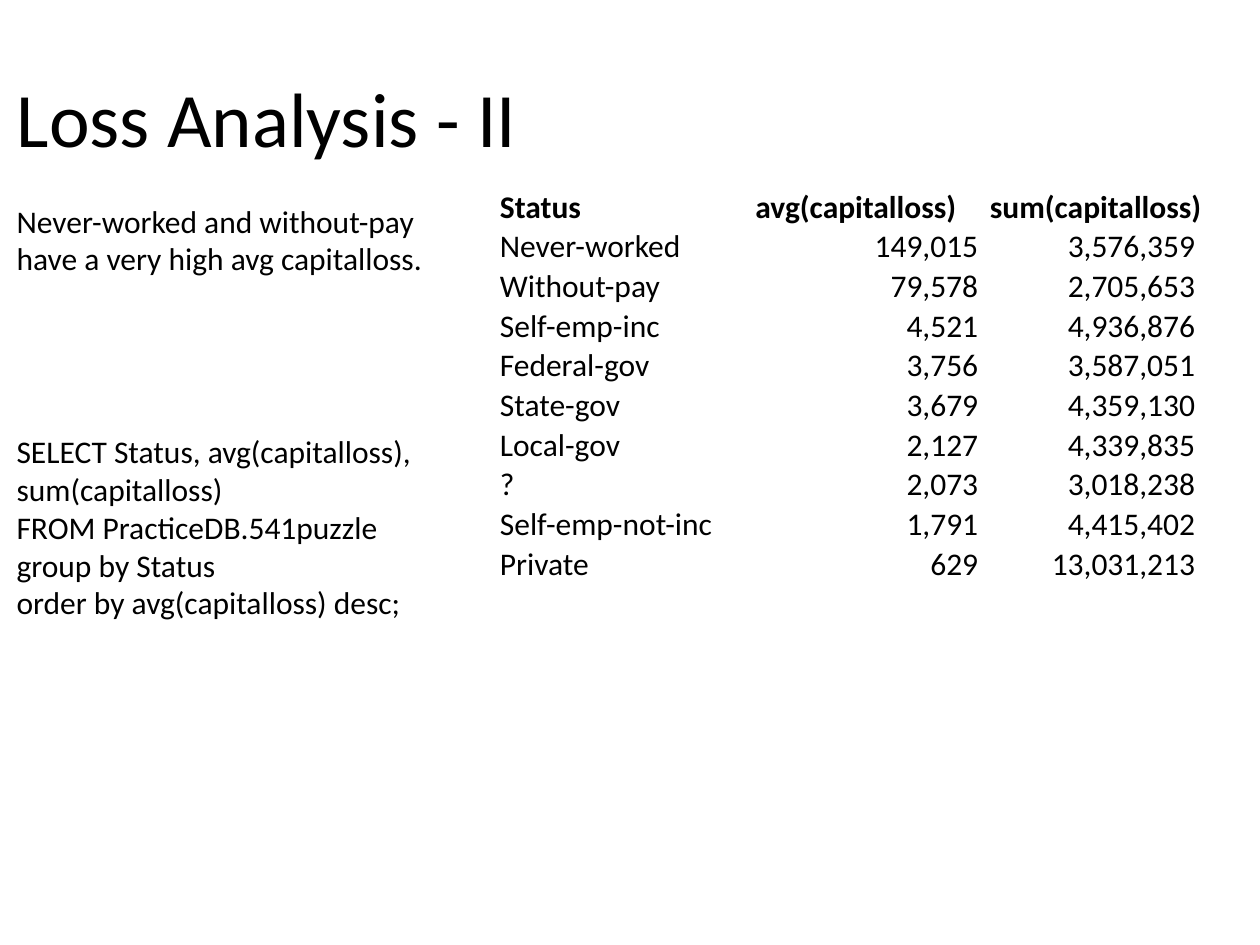
from pptx import Presentation
from pptx.dml.color import RGBColor
from pptx.enum.text import MSO_ANCHOR, MSO_AUTO_SIZE, PP_ALIGN
from pptx.util import Pt

COLORS = {"text": "000000"}
FONT = "Calibri"


def style(p, size, bold=False, align=PP_ALIGN.LEFT):
    p.alignment = align
    p.font.name = FONT
    p.font.size = Pt(size)
    p.font.bold = bold
    p.font.color.rgb = RGBColor.from_string(COLORS["text"])


prs = Presentation()
prs.slide_width, prs.slide_height = Pt(720), Pt(540)
s = prs.slides.add_slide(prs.slide_layouts[5])

title = s.shapes.title
title.left, title.top, title.width, title.height = Pt(2.4), Pt(21.6), Pt(648), Pt(90)
title.text_frame.text = "Loss Analysis - II"
title.text_frame.vertical_anchor = MSO_ANCHOR.MIDDLE
style(title.text_frame.paragraphs[0], 44)

rows = [
    ("Status", "avg(capitalloss)", "sum(capitalloss)"),
    ("Never-worked", "149,015", "3,576,359"),
    ("Without-pay", "79,578", "2,705,653"),
    ("Self-emp-inc", "4,521", "4,936,876"),
    ("Federal-gov", "3,756", "3,587,051"),
    ("State-gov", "3,679", "4,359,130"),
    ("Local-gov", "2,127", "4,339,835"),
    ("?", "2,073", "3,018,238"),
    ("Self-emp-not-inc", "1,791", "4,415,402"),
    ("Private", "629", "13,031,213"),
]
col_widths = [146, 134, 127]
number_insets = [0.7, 6, 9]

table = s.shapes.add_table(
    len(rows), len(col_widths), Pt(285), Pt(106.8), Pt(sum(col_widths)), Pt(223)
).table
table.first_row = table.horz_banding = False
for col, width in zip(table.columns, col_widths):
    col.width = Pt(width)
for i, row in enumerate(rows):
    for j, text in enumerate(row):
        is_number = i > 0 and j > 0
        cell = table.cell(i, j)
        cell.fill.background()
        cell.vertical_anchor = MSO_ANCHOR.BOTTOM
        cell.margin_left = cell.margin_top = Pt(0.7)
        cell.margin_right = Pt(number_insets[j] if is_number else 0.7)
        cell.margin_bottom = Pt(0)
        cell.text = text
        style(
            cell.text_frame.paragraphs[0],
            18,
            bold=i == 0,
            align=PP_ALIGN.RIGHT if is_number else PP_ALIGN.LEFT,
        )

notes = [
    (111.6, 250, 51, ["Never-worked and without-pay have a very high avg capitalloss."]),
    (243.4, 299.5, 116.6, [
        "SELECT Status, avg(capitalloss), sum(capitalloss)",
        "FROM PracticeDB.541puzzle",
        "group by Status",
        "order by avg(capitalloss) desc;",
    ]),
]
for top, width, height, lines in notes:
    tf = s.shapes.add_textbox(Pt(2.4), Pt(top), Pt(width), Pt(height)).text_frame
    tf.word_wrap = True
    tf.auto_size = MSO_AUTO_SIZE.SHAPE_TO_FIT_TEXT
    tf.text = "\n".join(lines)
    for p in tf.paragraphs:
        style(p, 18)

prs.save("out.pptx")
